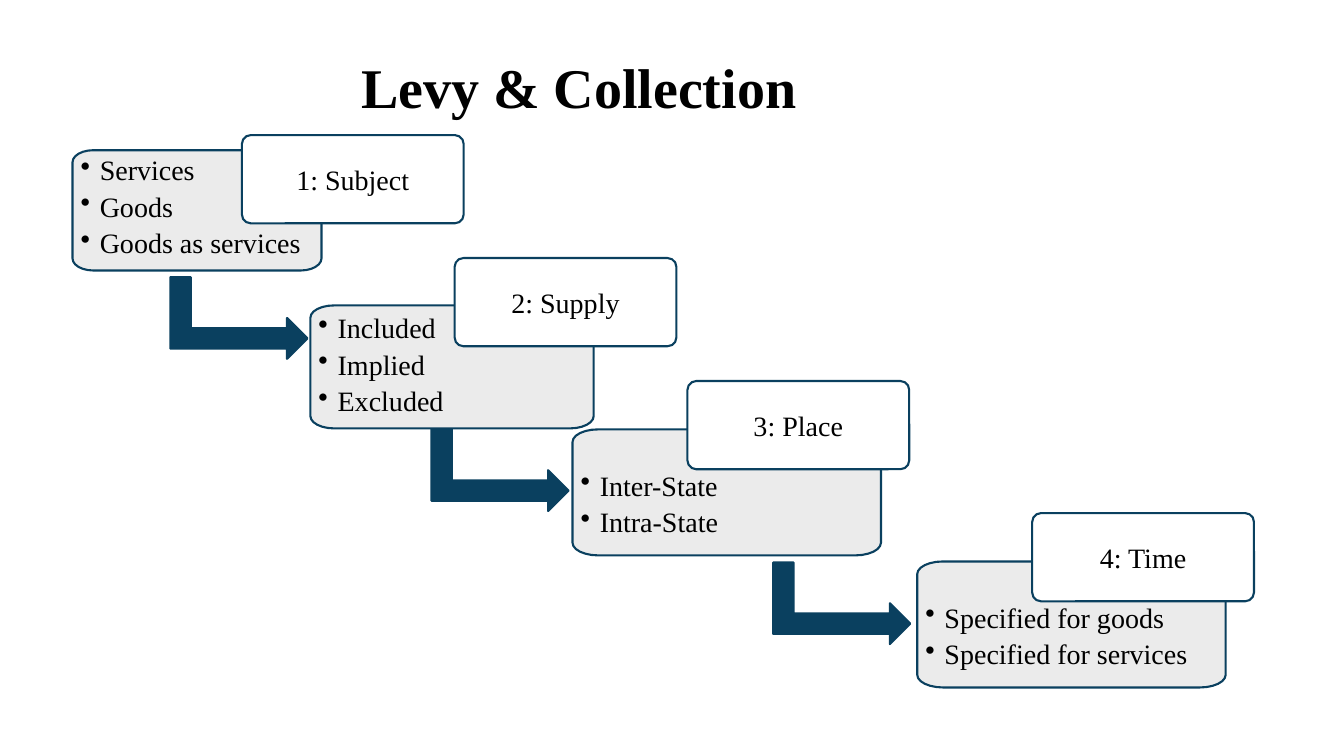
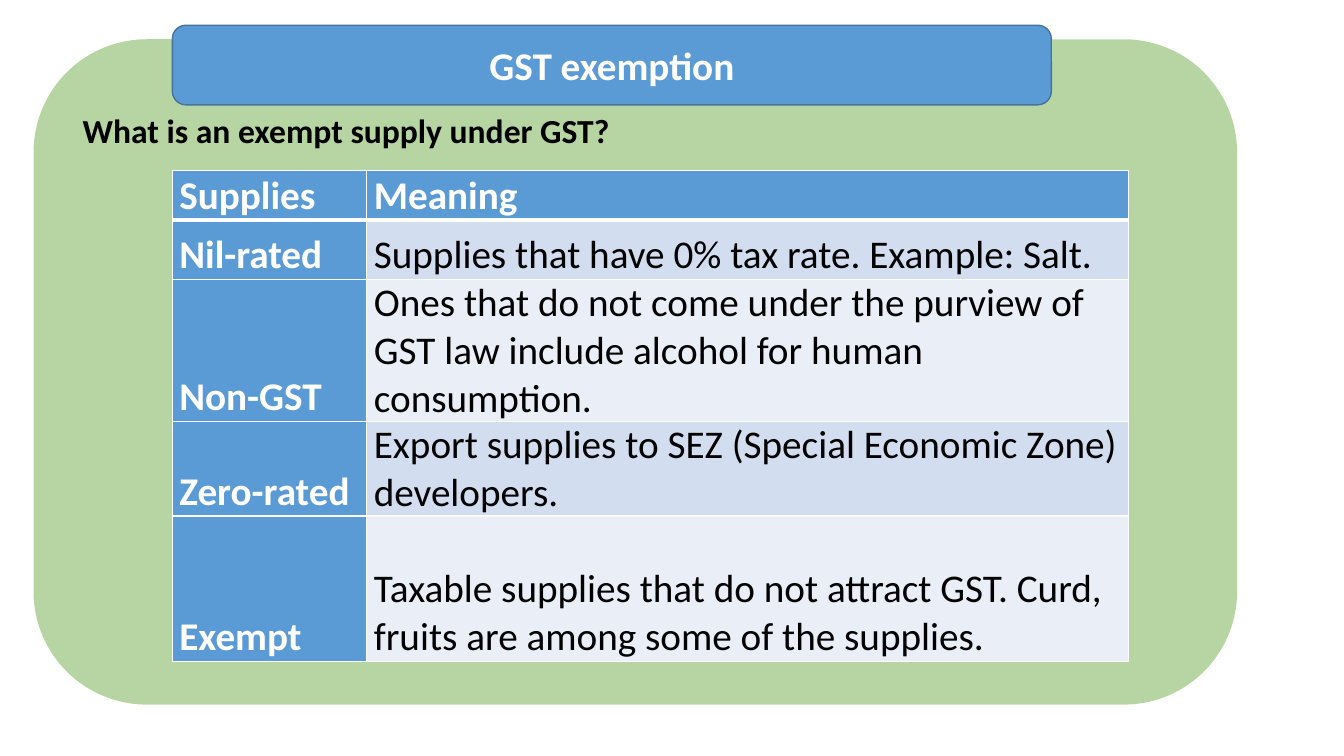
import math
import lxml.etree
import pptx
import pptx.dml.color
import pptx.enum.shapes
import pptx.enum.text
import pptx.oxml.ns
import pptx.util

COLS, ROWS = 80, 45
SHAPE = pptx.enum.shapes.MSO_SHAPE
ALIGN = pptx.enum.text.PP_ALIGN
ANCHOR = pptx.enum.text.MSO_ANCHOR


def rgb(value):
    return pptx.dml.color.RGBColor.from_string(value)


def add_xml(parent, tag, **attrs):
    values = {name: str(value) for name, value in attrs.items()}
    return lxml.etree.SubElement(parent, pptx.oxml.ns.qn(tag), values)


class Deck:
    SERIF, SANS = "Times New Roman", "Calibri"
    BLACK, WHITE = "000000", "FFFFFF"
    NAVY, GREY = "0A405F", "EBEBEB"
    BLUE, BLUE_EDGE, GREEN = "5B9BD5", "43739E", "70AD47"
    BANDS = ("D2DEEF", "EAEFF7")

    def __init__(self):
        self.prs = pptx.Presentation()
        self.prs.slide_width = pptx.util.Inches(13.33)
        self.prs.slide_height = pptx.util.Inches(7.5)
        self.s = None

    def new_slide(self):
        self.s = self.prs.slides.add_slide(self.prs.slide_layouts[6])

    def x(self, cols):
        return round(self.prs.slide_width * cols / COLS)

    def y(self, rows):
        return round(self.prs.slide_height * rows / ROWS)

    def box(self, left, top, width, height):
        return self.x(left), self.y(top), self.x(width), self.y(height)

    def paint(self, sp, fill, line=None, weight=1.5):
        sp.shadow.inherit = False
        sp.fill.solid()
        sp.fill.fore_color.rgb = rgb(fill)
        if line:
            sp.line.color.rgb = rgb(line)
            sp.line.width = pptx.util.Pt(weight)
        else:
            sp.line.fill.background()

    def set_text(self, tf, text, font, size, color, bold=False, align=ALIGN.LEFT,
                 anchor=ANCHOR.MIDDLE, bullets=False):
        tf.word_wrap = True
        tf.vertical_anchor = anchor
        tf.text = text
        for i, p in enumerate(tf.paragraphs):
            p.alignment = align
            if bullets:
                pPr = p._p.get_or_add_pPr()
                pPr.set("marL", str(pptx.util.Inches(0.2)))
                pPr.set("indent", str(-pptx.util.Inches(0.19)))
                add_xml(pPr, "a:buChar", char="•")
                if i:
                    p.space_before = pptx.util.Pt(2)
            for r in p.runs:
                r.font.name = font
                r.font.size = pptx.util.Pt(size)
                r.font.bold = bold
                r.font.color.rgb = rgb(color)

    def insets(self, target, left, top, right, bottom):
        target.margin_left = pptx.util.Inches(left)
        target.margin_top = pptx.util.Inches(top)
        target.margin_right = pptx.util.Inches(right)
        target.margin_bottom = pptx.util.Inches(bottom)

    def label(self, at, text, font, size, anchor=ANCHOR.MIDDLE):
        tf = self.s.shapes.add_textbox(*self.box(*at)).text_frame
        self.insets(tf, 0, 0, 0, 0)
        self.set_text(tf, text, font, size, self.BLACK, True, anchor=anchor)

    def rounded(self, at, fill, line=None, weight=1.5, corner=0.17):
        sp = self.s.shapes.add_shape(SHAPE.ROUNDED_RECTANGLE, *self.box(*at))
        sp.adjustments[0] = corner
        self.paint(sp, fill, line, weight)
        return sp

    def backdrop(self, at, opacity):
        sp = self.rounded(at, self.GREEN)
        color = sp._element.spPr.find(".//" + pptx.oxml.ns.qn("a:srgbClr"))
        add_xml(color, "a:alpha", val=opacity * 1000)

    def banner(self, at, text):
        sp = self.rounded(at, self.BLUE, self.BLUE_EDGE, 1)
        self.set_text(sp.text_frame, text, self.SANS, 28, self.WHITE, True, ALIGN.CENTER)

    def tag(self, at, text):
        sp = self.rounded(at, self.WHITE, self.NAVY, corner=0.1)
        self.set_text(sp.text_frame, text, self.SERIF, 20, self.BLACK, align=ALIGN.CENTER)

    def panel(self, at, items, pad):
        left, top, width, height = self.box(*at)
        rx, ry = width / 12, height / 10
        corners = ((left + width - rx, top + ry, 270), (left + width - rx, top + height - ry, 0),
                   (left + rx, top + height - ry, 90), (left + rx, top + ry, 180))
        points = [(round(cx + rx * math.cos(math.radians(start + step))),
                   round(cy + ry * math.sin(math.radians(start + step))))
                  for cx, cy, start in corners for step in range(0, 91, 15)]
        fb = self.s.shapes.build_freeform(*points[0])
        fb.add_line_segments(points[1:], close=True)
        sp = fb.convert_to_shape()
        self.paint(sp, self.GREY, self.NAVY)
        self.insets(sp.text_frame, 0.07, 0, 0, pad)
        self.set_text(sp.text_frame, "\n".join(items), self.SERIF, 20, self.BLACK,
                      anchor=ANCHOR.BOTTOM, bullets=True)

    def bent_arrow(self, at):
        left, top, width, height = self.box(*at)
        shift = (width - height) // 2
        sp = self.s.shapes.add_shape(SHAPE.BENT_UP_ARROW, left + shift, top - shift, height, width)
        sp.rotation = 90
        for i in range(3):
            sp.adjustments[i] = 0.25
        self.paint(sp, self.NAVY, self.NAVY)

    def cell(self, cell, text, fill, color, bold, edges):
        tcPr = cell._tc.get_or_add_tcPr()
        for side, weight in edges.items():
            ln = add_xml(tcPr, "a:ln" + side, w=pptx.util.Pt(weight))
            add_xml(add_xml(ln, "a:solidFill"), "a:srgbClr", val=self.WHITE)
        cell.fill.solid()
        cell.fill.fore_color.rgb = rgb(fill)
        self.insets(cell, 0.07, 0, 0.07, 0)
        self.set_text(cell.text_frame, text, self.SANS, 28, color, bold)
        cell.vertical_anchor = ANCHOR.BOTTOM

    def table(self, left, top, widths, heights, rows):
        at = self.box(left, top, sum(widths), sum(heights))
        tbl = self.s.shapes.add_table(len(rows), len(widths), *at).table
        tbl.horz_banding = False
        for j, width in enumerate(widths):
            tbl.columns[j].width = self.x(width)
        for i, row in enumerate(rows):
            tbl.rows[i].height = self.y(heights[i])
            edges = {"L": 1, "R": 1, "T": 3 if i == 1 else 1, "B": 3 if i == 0 else 1}
            for j, text in enumerate(row):
                heading = i == 0 or j == 0
                fill = self.BLUE if heading else self.BANDS[(i - 1) % 2]
                color = self.WHITE if heading else self.BLACK
                self.cell(tbl.cell(i, j), text, fill, color, heading, edges)


def levy_slide(deck):
    deck.new_slide()
    deck.label((21.5, 2.6, 30, 5), "Levy & Collection", deck.SERIF, 40)
    steps = (
        ("1: Subject", ("Services", "Goods", "Goods as services"),
         (4.32, 8.94, 14.82, 7.16), (14.4, 8.04), 0.11),
        ("2: Supply", ("Included", "Implied", "Excluded"),
         (18.48, 18.18, 16.86, 7.32), (27.06, 15.36), 0.11),
        ("3: Place", ("Inter-State", "Intra-State"),
         (34.08, 25.56, 18.36, 7.5), (40.92, 22.68), 0.17),
        ("4: Time", ("Specified for goods", "Specified for services"),
         (54.6, 33.42, 18.36, 7.5), (61.44, 30.54), 0.17),
    )
    for name, items, panel, tag, pad in steps:
        deck.panel(panel, items, pad)
        deck.tag((*tag, 13.2, 5.25), name)
    for corner in ((10.14, 16.5), (25.68, 25.56), (46.02, 33.48)):
        deck.bent_arrow((*corner, 8.16, 4.86))


def exemption_slide(deck):
    deck.new_slide()
    deck.backdrop((2, 2.34, 71.64, 39.6), 50)
    deck.banner((10.26, 1.5, 52.32, 4.74), "GST exemption")
    deck.label((4.92, 6.54, 63, 2.8), "What is an exempt supply under GST?",
               deck.SANS, 24, ANCHOR.TOP)
    deck.table(10.26, 10.14, (11.58, 45.36), (2.94, 3.54, 8.46, 5.64, 8.64), (
        ("Supplies", "Meaning"),
        ("Nil-rated", "Supplies that have 0% tax rate. Example: Salt."),
        ("Non-GST", "Ones that do not come under the purview of GST law include "
                    "alcohol for human consumption."),
        ("Zero-rated", "Export supplies to SEZ (Special Economic Zone) developers."),
        ("Exempt", "Taxable supplies that do not attract GST. Curd, fruits are "
                   "among some of the supplies."),
    ))


def main():
    deck = Deck()
    levy_slide(deck)
    exemption_slide(deck)
    deck.prs.save("out.pptx")


if __name__ == "__main__":
    main()
